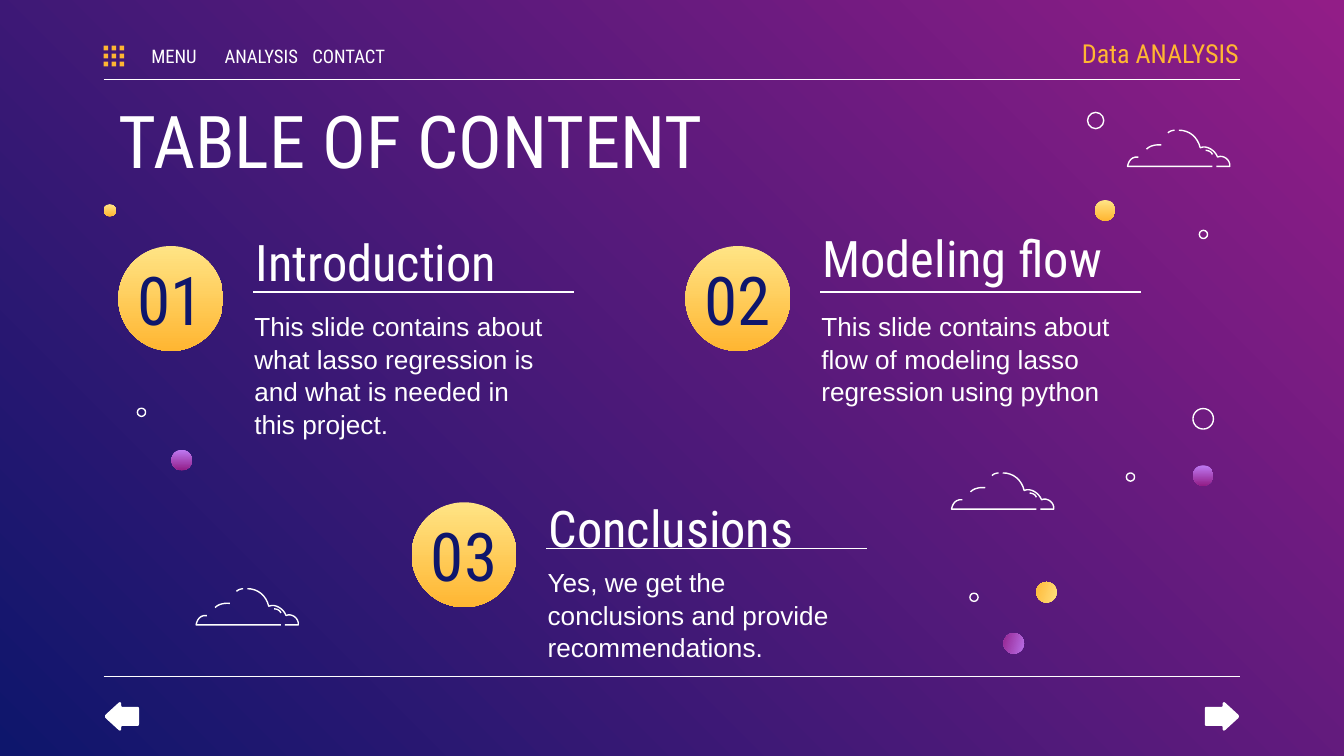
"""Build a table-of-contents slide with three numbered sections on a gradient."""
from dataclasses import dataclass
from itertools import product

from lxml.etree import SubElement
from pptx import Presentation
from pptx.dml.color import RGBColor
from pptx.enum.shapes import MSO_CONNECTOR, MSO_SHAPE
from pptx.enum.text import MSO_ANCHOR, PP_ALIGN
from pptx.oxml.ns import qn
from pptx.util import Pt


@dataclass(frozen=True)
class Theme:
    white: str = "FFFFFF"
    navy: str = "0E166C"
    magenta: str = "921D87"
    amber: str = "FFB632"
    gold: tuple = ("FFE485", "FFB632")
    purple: tuple = ("BE7AF3", "921D87")
    display_font: str = "Roboto Condensed"
    body_font: str = "Arial"
    title_size: float = 39
    number_size: float = 36
    heading_size: float = 27
    body_size: float = 14
    menu_size: float = 10
    line_width: float = 0.75


WIDTH, HEIGHT = 720, 405
MARGIN = 55.5
CURVE_STEPS = 8

CLOUD = [
    [(27.4, 0), (33.1, 0, 37.4, 3.6, 38.9, 9.4), (42.5, 7.9, 46.8, 10.8, 48.2, 14.4),
     (51.1, 13, 55.2, 15.8, 54.7, 19.4), (47.5, 19.4)],
    [(25.2, 0), (25.2, 0, 23, 0, 21.6, 1.4)],
    [(45.4, 19.4), (0, 19.4), (0, 19.4, 0.7, 13.7, 5.8, 14.4)],
    [(41.8, 10.8), (41.8, 10.8, 44.6, 10.8, 45.4, 13)],
    [(18, 7.9), (18, 7.9, 13, 7.2, 10.1, 10.1)],
]
ARROW = [
    (7.2, 14.6), (0.2, 8.2), (-0.2, 7.6, -0.2, 7, 0.2, 6.4), (7.2, 0),
    (7.9, -0.6, 8.6, -0.2, 8.6, 0.7), (8.6, 1.4), (8.6, 2, 8.8, 2.2, 9.4, 2.2), (17.3, 2.2),
    (17.8, 2.2, 18.1, 2.6, 18.1, 3), (18.1, 11.5), (18.1, 12, 17.8, 12.4, 17.3, 12.4),
    (9.4, 12.4), (8.8, 12.4, 8.6, 12.6, 8.6, 13.2), (8.6, 13.9), (8.6, 14.8, 7.9, 15.2, 7.2, 14.6),
]
SECTIONS = [
    ("01", "Introduction", "This slide contains about what lasso regression is and what is needed "
     "in this project.", 63.4, 131.8, 116.6),
    ("02", "Modeling flow", "This slide contains about flow of modeling lasso regression using python",
     367.2, 131.8, 114.5),
    ("03", "Conclusions", "Yes, we get the conclusions and provide recommendations.",
     220.5, 269.1, 259.2),
]
GOLD_DOTS = [(586.6, 107.2, 11, 0), (55.5, 109.4, 6.6, 0), (555.1, 311.8, 11, 106)]
PURPLE_DOTS = [(639.1, 249.3, 11, 0), (91.9, 241, 11, 0), (537.6, 339.2, 11, 106)]
RINGS = [(642.5, 123.4, 4.4), (582.6, 60.2, 8.7), (639.1, 218.9, 11), (603.4, 253.4, 4.4),
         (73.6, 218.7, 4.4), (519.6, 317.8, 4.4)]
CLOUDS = [(604.1, 69.8), (509.8, 253.4), (105.1, 315.4)]


def flatten(path):
    """Turn line and cubic segments into a list of points."""
    points = [path[0]]
    for segment in path[1:]:
        if len(segment) == 2:
            points.append(segment)
            continue
        ends = [points[-1], segment[:2], segment[2:4], segment[4:]]
        for step in range(1, CURVE_STEPS + 1):
            t = step / CURVE_STEPS
            weights = ((1 - t) ** 3, 3 * t * (1 - t) ** 2, 3 * t * t * (1 - t), t ** 3)
            points.append(tuple(sum(w * end[axis] for w, end in zip(weights, ends))
                                for axis in (0, 1)))
    return points


class SlideBuilder:
    """Hold the theme and the current slide, and add styled elements."""

    def __init__(self, slide, theme):
        self.slide, self.theme = slide, theme

    def gradient(self, fill, colors, angle):
        """Apply a two-colour linear gradient."""
        fill.gradient()
        fill.gradient_angle = angle
        for stop, color, position in zip(fill.gradient_stops, colors, (0, 1)):
            stop.color.rgb = RGBColor.from_string(color)
            stop.position = position

    def paint(self, shape, fill=None, line=None):
        """Set fill and outline and remove the shadow."""
        shape.shadow.inherit = False
        if fill is None:
            shape.fill.background()
        elif isinstance(fill, tuple):
            self.gradient(shape.fill, fill, 270)
        else:
            shape.fill.solid()
            shape.fill.fore_color.rgb = RGBColor.from_string(fill)
        if line is None:
            shape.line.fill.background()
        else:
            shape.line.color.rgb = RGBColor.from_string(line)
            shape.line.width = Pt(self.theme.line_width)

    def preset(self, kind, left, top, size, fill=None, line=None, rotation=0, shapes=None):
        """Add a preset shape as wide as it is high."""
        shapes = self.slide.shapes if shapes is None else shapes
        shape = shapes.add_shape(kind, Pt(left), Pt(top), Pt(size), Pt(size))
        shape.rotation = rotation
        self.paint(shape, fill, line)

    def rule(self, left, right, y):
        """Add a thin horizontal line."""
        line = self.slide.shapes.add_connector(
            MSO_CONNECTOR.STRAIGHT, Pt(left), Pt(y), Pt(right), Pt(y))
        line.line.color.rgb = RGBColor.from_string(self.theme.white)
        line.line.width = Pt(self.theme.line_width)
        SubElement(line._element.spPr, qn("a:effectLst"))

    def outline(self, points, closed, fill=None, line=None, shapes=None):
        """Add a freeform through the given points."""
        shapes = self.slide.shapes if shapes is None else shapes
        start, *others = [(Pt(x), Pt(y)) for x, y in points]
        builder = shapes.build_freeform(*start)
        builder.add_line_segments(others, close=closed)
        self.paint(builder.convert_to_shape(), fill, line)

    def cloud(self, left, top):
        """Add a grouped line-art cloud."""
        group = self.slide.shapes.add_group_shape()
        for stroke in CLOUD:
            points = [(left + x, top + y) for x, y in flatten(stroke)]
            self.outline(points, False, line=self.theme.white, shapes=group.shapes)

    def text(self, words, left, top, width, height, size, color=None, font=None,
             align=PP_ALIGN.LEFT, anchor=MSO_ANCHOR.TOP, sides=(7.2, 7.2), spacing=None):
        """Add a wrapped text box."""
        frame = self.slide.shapes.add_textbox(Pt(left), Pt(top), Pt(width), Pt(height)).text_frame
        frame.word_wrap = True
        frame.vertical_anchor = anchor
        frame.margin_left, frame.margin_right = map(Pt, sides)
        frame.margin_top = frame.margin_bottom = Pt(7.2)
        frame.text = words
        paragraph = frame.paragraphs[0]
        paragraph.alignment = align
        paragraph.line_spacing = spacing
        style = paragraph.runs[0].font
        style.size = Pt(size)
        style.name = font or self.theme.display_font
        style.color.rgb = RGBColor.from_string(color or self.theme.white)

    def section(self, number, heading, body, left, top, heading_top):
        """Add a numbered disc with its heading, rule and description."""
        theme = self.theme
        self.preset(MSO_SHAPE.OVAL, left, top, 56.2, theme.gold)
        self.rule(left + 72.2, left + 244.2, top + 24.7)
        self.text(heading, left + 66.4, heading_top, 200, 34.6, theme.heading_size)
        self.text(body, left + 65.8, top + 26.6, 175.7, 44.6, theme.body_size,
                  font=theme.body_font, spacing=1.04)
        self.text(number, left, top + 14.4, 56.2, 27.4, theme.number_size, theme.navy,
                  align=PP_ALIGN.CENTER, anchor=MSO_ANCHOR.MIDDLE)


def main():
    """Compose and save the slide."""
    theme = Theme()
    presentation = Presentation()
    presentation.slide_width, presentation.slide_height = Pt(WIDTH), Pt(HEIGHT)
    slide = presentation.slides.add_slide(presentation.slide_layouts[6])
    builder = SlideBuilder(slide, theme)
    builder.gradient(slide.background.fill, (theme.magenta, theme.navy), 225)

    for y in (42.5, 362.5):
        builder.rule(MARGIN, WIDTH - MARGIN, y)
    builder.text("TABLE OF CONTENT", 56.2, 43.9, 607.7, 47.5, theme.title_size)
    for section in SECTIONS:
        builder.section(*section)

    builder.text("Data ANALYSIS", 555.8, 16.6, 108, 23.8, theme.body_size, theme.amber,
                 align=PP_ALIGN.RIGHT, anchor=MSO_ANCHOR.MIDDLE, sides=(7.2, 0))
    for index, label in enumerate(("MENU", "ANALYSIS", "CONTACT")):
        builder.text(label, 72.7 + 46.8 * index, 21.6, 41, 16.6, theme.menu_size,
                     align=PP_ALIGN.CENTER, anchor=MSO_ANCHOR.MIDDLE, sides=(0, 0))
    grid = slide.shapes.add_group_shape()
    for column, row in product(range(3), repeat=2):
        builder.preset(MSO_SHAPE.RECTANGLE, MARGIN + 4.3 * column, 24.5 + 4.3 * row, 2.5,
                       theme.amber, shapes=grid.shapes)

    left_arrow = [(56.4 + x, 376.5 + y) for x, y in flatten(ARROW)]
    right_arrow = [(WIDTH - x, y) for x, y in left_arrow]
    for arrow in (left_arrow, right_arrow):
        builder.outline(arrow, True, theme.white)

    for dots, fill in ((GOLD_DOTS, theme.gold), (PURPLE_DOTS, theme.purple)):
        for left, top, size, rotation in dots:
            builder.preset(MSO_SHAPE.OVAL, left, top, size, fill, rotation=rotation)
    for left, top, size in RINGS:
        builder.preset(MSO_SHAPE.OVAL, left, top, size, line=theme.white)
    for left, top in CLOUDS:
        builder.cloud(left, top)

    presentation.save("out.pptx")


if __name__ == "__main__":
    main()
